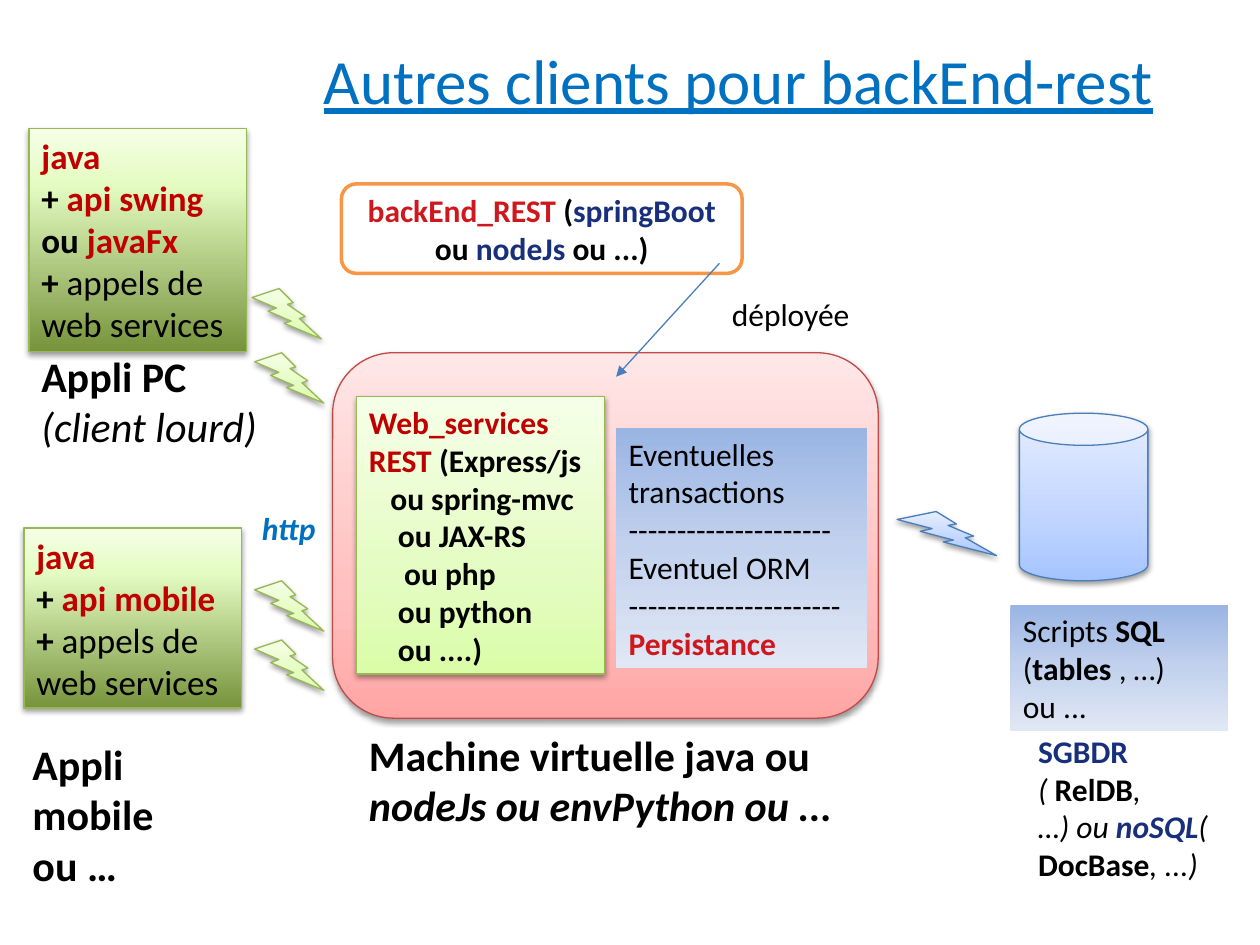
from dataclasses import dataclass
from typing import NamedTuple, Optional

from lxml import etree
from pptx import Presentation
from pptx import util as u
from pptx.dml.color import RGBColor
from pptx.enum import shapes, text
from pptx.oxml.ns import qn

EMU_PER_PX = 9144  # 100 px to the inch
FONT = "Calibri"
BLACK, RED, BRIGHT_RED, NAVY, AZURE = "000000", "C00000", "CE181E", "182F7C", "0070C0"
BREAK = "\n"

Kind = shapes.MSO_SHAPE
Align = text.PP_ALIGN
Anchor = text.MSO_ANCHOR


class Box(NamedTuple):
    left: int
    top: int
    width: int
    height: int


class Run(NamedTuple):
    text: str
    color: str = BLACK
    bold: bool = False
    italic: bool = False


class Paragraph(NamedTuple):
    runs: list
    indent: int = 0


@dataclass(frozen=True)
class Style:
    """Gradient stops as (percent, colour); the angle runs counter-clockwise."""
    stops: tuple
    angle: int = 90
    line: Optional[str] = None
    shadow: bool = True


LIGHT_GREEN = Style(((0, "DAFDA7"), (35, "E4FCC2"), (100, "F5FFE7")), line="98B855")
DARK_GREEN = Style(((0, "77933C"), (75, "E4FCC2"), (100, "F5FFE7")), line="98B855")
PINK = Style(((0, "FFA6A5"), (35, "FFC0BF"), (100, "FFE7E7")), line="BE4B48")
BLUE = Style(((0, "A4C4FF"), (35, "BFD4FF"), (100, "E6EEFF")), line="4A7EBB")
PALE_BLUE = Style(((0, "9AB5E4"), (50, "C2D1ED"), (100, "E1E8F5")), angle=270, shadow=False)


def px(length: int) -> u.Emu:
    return u.Emu(length * EMU_PER_PX)


def rgb(color: str) -> RGBColor:
    return RGBColor.from_string(color)


def bold(words: str, color: str = BLACK, italic: bool = False) -> Run:
    return Run(words, color, True, italic)


def italic(words: str) -> Run:
    return Run(words, italic=True)


def add_child(parent, tag: str, **attributes):
    return etree.SubElement(parent, qn(tag), **attributes)


def write(shape, paragraphs: list, size: int, align=Align.LEFT, anchor=Anchor.TOP) -> None:
    frame = shape.text_frame
    frame.word_wrap = True
    frame.vertical_anchor = anchor
    for index, content in enumerate(paragraphs):
        paragraph = frame.paragraphs[0] if index == 0 else frame.add_paragraph()
        paragraph.alignment = align
        if content.indent:
            properties = paragraph._p.get_or_add_pPr()
            properties.set("marL", str(px(content.indent)))
            properties.set("indent", "0")
        for item in content.runs:
            if item == BREAK:
                paragraph.add_line_break()
                continue
            run = paragraph.add_run()
            run.text = item.text
            run.font.name, run.font.size = FONT, u.Pt(size)
            run.font.bold, run.font.italic = item.bold, item.italic
            run.font.color.rgb = rgb(item.color)


def add_shape(slide, kind, box: Box, style: Style):
    shape = slide.shapes.add_shape(kind, *map(px, box))
    shape.fill.gradient()
    shape.fill.gradient_angle = style.angle
    stop_list = shape._element.spPr.find(".//" + qn("a:gsLst"))
    for stop in list(stop_list):
        stop_list.remove(stop)
    for percent, color in style.stops:
        stop = add_child(stop_list, "a:gs", pos=str(percent * 1000))
        add_child(stop, "a:srgbClr", val=color)
    if style.line:
        shape.line.color.rgb = rgb(style.line)
        shape.line.width = u.Pt(0.75)
    else:
        shape.line.fill.background()
    shape.shadow.inherit = False
    if style.shadow:
        effects = shape._element.spPr.find(qn("a:effectLst"))
        shadow = add_child(effects, "a:outerShdw", blurRad="40000", dist="20000",
                           dir="5400000", rotWithShape="0")
        add_child(add_child(shadow, "a:srgbClr", val=BLACK), "a:alpha", val="38000")
    return shape


def add_panel(slide, box: Box, style: Style, paragraphs: list, size: int = 18) -> None:
    write(add_shape(slide, Kind.RECTANGLE, box, style), paragraphs, size)


def add_label(slide, box: Box, paragraphs: list, size: int = 18) -> None:
    write(slide.shapes.add_textbox(*map(px, box)), paragraphs, size)


def add_title(slide) -> None:
    title = slide.shapes.title
    title.left, title.top, title.width, title.height = map(px, Box(235, 16, 702, 94))
    write(title, [Paragraph([Run("Autres clients pour backEnd-rest", AZURE)])], 36,
          Align.CENTER, Anchor.MIDDLE)
    title.text_frame.paragraphs[0].runs[0].font.underline = True


def add_clients(slide) -> None:
    calls = [bold("+ "), Run("appels de web services")]
    add_panel(slide, Box(19, 419, 173, 143), DARK_GREEN, [
        Paragraph([bold("java", RED), BREAK, bold("+"), bold(" api mobile", RED)]),
        Paragraph(calls)], 20)
    add_label(slide, Box(16, 581, 127, 130), [
        Paragraph([bold("Appli"), BREAK, bold("mobile")]), Paragraph([bold("ou …")])], 24)
    add_label(slide, Box(198, 399, 72, 40), [Paragraph([bold("http", AZURE, True)])])
    add_panel(slide, Box(23, 102, 173, 177), DARK_GREEN, [
        Paragraph([bold("java", RED), BREAK, bold("+"), bold(" api swing", RED)]),
        Paragraph([bold("ou"), bold(" javaFx", RED)]),
        Paragraph(calls)], 20)
    add_label(slide, Box(23, 273, 193, 90), [
        Paragraph([bold("Appli PC"), BREAK, italic("(client lourd)")])], 24)
    for left, top in ((200, 229), (202, 280), (202, 461), (202, 508)):
        add_shape(slide, Kind.LIGHTNING_BOLT, Box(left, top, 55, 40), LIGHT_GREEN)


def add_server(slide) -> None:
    add_shape(slide, Kind.ROUNDED_RECTANGLE, Box(264, 280, 433, 290), PINK)
    add_panel(slide, Box(489, 340, 199, 190), PALE_BLUE, [
        Paragraph([Run("Eventuelles transactions")]),
        Paragraph([Run("-" * 21)]),
        Paragraph([Run("Eventuel ORM")]),
        Paragraph([Run("-" * 22)]),
        Paragraph([bold("Persistance", BRIGHT_RED)])])
    add_label(slide, Box(283, 574, 445, 90), [Paragraph([
        bold("Machine virtuelle java ou"), BREAK,
        bold("nodeJs ou envPython ou ...", italic=True)])], 24)
    choices = (("spring-mvc", 17), ("JAX-RS", 23), ("php", 28), ("python", 23), ("....)", 23))
    add_panel(slide, Box(283, 315, 197, 220), LIGHT_GREEN, [
        Paragraph([bold("Web_services", RED), BREAK, bold("REST ", RED), bold("(Express/js")]),
        *(Paragraph([bold(f"ou {name}")], indent) for name, indent in choices)])


def add_database(slide) -> None:
    add_panel(slide, Box(802, 480, 173, 100), PALE_BLUE, [
        Paragraph([Run("Scripts "), bold("SQL"), BREAK, Run("("), bold("tables"), Run(" , …)")]),
        Paragraph([Run("ou ...")])])
    add_label(slide, Box(814, 576, 162, 130), [
        Paragraph([bold("SGBDR", NAVY), BREAK, italic("( "), bold("RelDB"), italic(","), BREAK,
                   italic("…) ou "), bold("noSQL", NAVY, True), italic("(")]),
        Paragraph([bold("DocBase"), italic(", ...)")])])
    add_shape(slide, Kind.CAN, Box(809, 328, 102, 133), BLUE)
    add_shape(slide, Kind.LIGHTNING_BOLT, Box(712, 406, 79, 35), BLUE)


def add_deployment(slide) -> None:
    backend = slide.shapes.add_shape(Kind.ROUNDED_RECTANGLE, *map(px, Box(271, 146, 318, 71)))
    backend.fill.solid()
    backend.fill.fore_color.rgb = rgb("FFFFFF")
    backend.line.color.rgb = rgb("F79646")
    backend.line.width = u.Pt(2)
    backend.shadow.inherit = False
    write(backend, [Paragraph([
        bold("backEnd_REST ", BRIGHT_RED), bold("("), bold("springBoot", NAVY), bold(" ou "),
        bold("nodeJs", NAVY), bold(" ou ...)")])], 18, Align.CENTER, Anchor.MIDDLE)
    arrow = slide.shapes.add_connector(shapes.MSO_CONNECTOR.STRAIGHT,
                                       *map(px, (571, 209, 489, 299)))
    arrow.line.color.rgb = rgb("4A7EBB")
    arrow.line.width = u.Pt(0.75)
    add_child(arrow.line._get_or_add_ln(), "a:tailEnd", type="triangle")
    add_child(arrow._element.spPr, "a:effectLst")
    add_label(slide, Box(571, 229, 125, 40), [Paragraph([Run("déployée")])])


def main() -> None:
    presentation = Presentation()
    presentation.slide_width, presentation.slide_height = px(1000), px(750)
    slide = presentation.slides.add_slide(presentation.slide_layouts[5])
    for draw in (add_title, add_clients, add_server, add_database, add_deployment):
        draw(slide)
    presentation.save("out.pptx")


if __name__ == "__main__":
    main()
